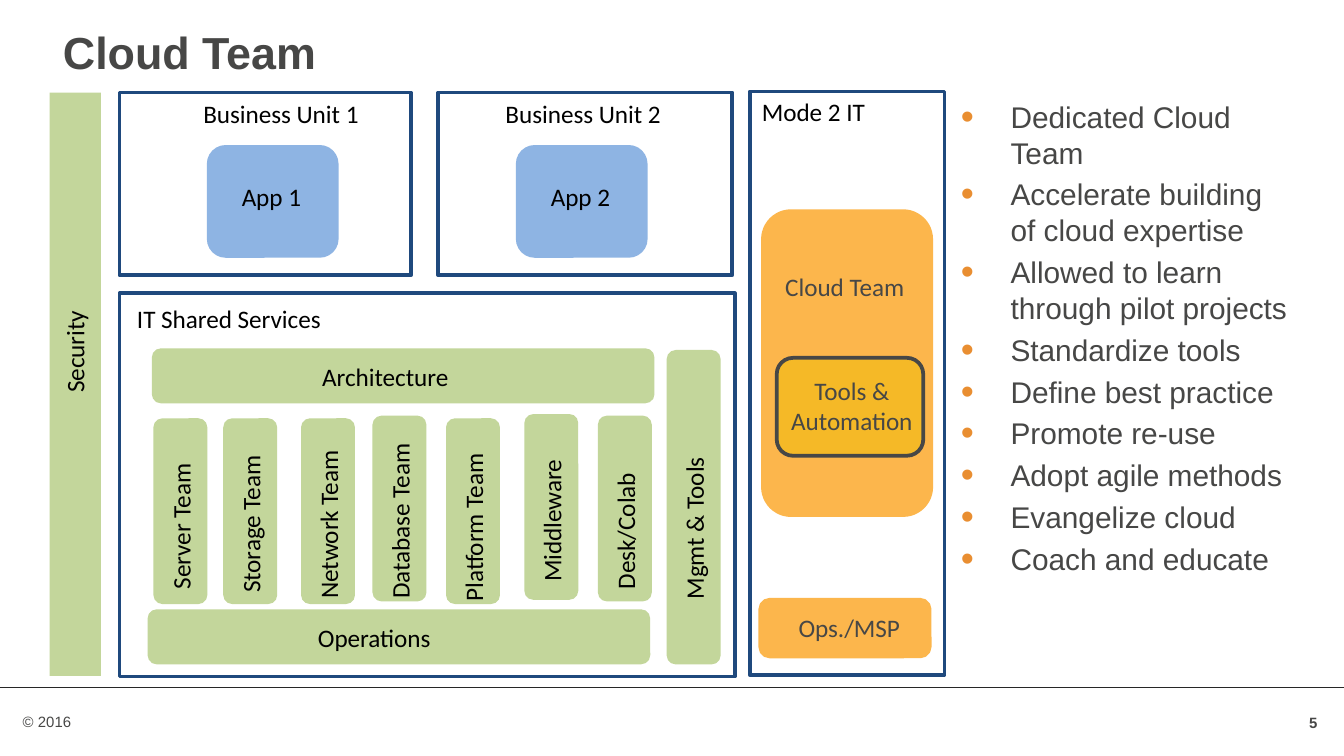
from lxml import etree
from pptx import Presentation
from pptx.dml.color import RGBColor
from pptx.enum.shapes import MSO_CONNECTOR, MSO_SHAPE
from pptx.enum.text import MSO_ANCHOR, PP_ALIGN
from pptx.oxml.ns import qn
from pptx.util import Cm, Pt

RECT, ROUND = MSO_SHAPE.RECTANGLE, MSO_SHAPE.ROUNDED_RECTANGLE
LEFT, CENTER, RIGHT = PP_ALIGN.LEFT, PP_ALIGN.CENTER, PP_ALIGN.RIGHT
TOP, MIDDLE = MSO_ANCHOR.TOP, MSO_ANCHOR.MIDDLE

BLACK = RGBColor(0x00, 0x00, 0x00)
GRAY = RGBColor(0x47, 0x47, 0x46)
RULE = RGBColor(0x27, 0x27, 0x27)
NAVY = RGBColor(0x1F, 0x49, 0x7D)
GREEN = RGBColor(0xC3, 0xD6, 0x9B)
BLUE = RGBColor(0x8E, 0xB4, 0xE3)
ORANGE = RGBColor(0xFC, 0xB6, 0x4C)
GOLD = RGBColor(0xEF, 0xBD, 0x03)
BULLET = "E98E31"

LABEL_H = 0.57
BAR_W = 1.02

# Name, bar left, bar top, label top, label length
TEAMS = [
    ("Server Team", 0.64, 2.36, 2.64, 2.95),
    ("Storage Team", 1.96, 2.36, 2.46, 3.2),
    ("Network Team", 3.43, 2.36, 2.16, 3.61),
    ("Database Team", 4.78, 2.31, 2.09, 3.68),
    ("Platform Team", 6.17, 2.36, 2.31, 3.51),
    ("Middleware", 7.65, 2.28, 2.78, 2.67),
    ("Desk/Colab", 9.04, 2.31, 2.64, 2.95),
]
GOALS = [
    "Dedicated Cloud Team",
    "Accelerate building of cloud expertise",
    "Allowed to learn through pilot projects",
    "Standardize tools",
    "Define best practice",
    "Promote re-use",
    "Adopt agile methods",
    "Evangelize cloud",
    "Coach and educate",
]


def inside(box, dx, dy, w, h):
    """Return a box placed by its offset from the corner of another."""
    return box[0] + dx, box[1] + dy, w, h


def upright(box):
    """Return the box which covers the given one after a quarter turn."""
    x, y, w, h = box
    return x + (w - h) / 2, y + (h - w) / 2, h, w


def lengths(box):
    return [Cm(v) for v in box]


def add_bullet(p):
    pPr = p._p.get_or_add_pPr()
    pPr.set("marL", str(Cm(0.97)))
    pPr.set("indent", str(-Cm(0.94)))
    color = etree.SubElement(pPr, qn("a:buClr"))
    etree.SubElement(color, qn("a:srgbClr"), val=BULLET)
    etree.SubElement(pPr, qn("a:buSzPct"), val="125000")
    etree.SubElement(pPr, qn("a:buFont"), typeface="Arial")
    etree.SubElement(pPr, qn("a:buChar"), char="•")


def write(sp, *lines, font="Calibri", size=13.5, color=BLACK, bold=False,
          align=LEFT, anchor=TOP, inset=(0, 0), bullets=False, gap=0):
    tf = sp.text_frame
    tf.word_wrap = True
    tf.vertical_anchor = anchor
    tf.margin_left = tf.margin_right = Cm(inset[0])
    tf.margin_top = tf.margin_bottom = Cm(inset[1])
    for i, line in enumerate(lines):
        p = tf.add_paragraph() if i else tf.paragraphs[0]
        p.alignment = align
        p.space_before = Pt(gap if i else 0)
        if bullets:
            add_bullet(p)
        r = p.add_run()
        r.text = line
        r.font.name, r.font.size = font, Pt(size)
        r.font.color.rgb, r.font.bold = color, bold


def add_text(s, box, *lines, vertical=False, **fmt):
    sp = s.shapes.add_textbox(*lengths(upright(box) if vertical else box))
    sp.rotation = 270 if vertical else 0
    write(sp, *lines, **fmt)


def add_block(s, box, kind=ROUND, fill=None, line=None, vertical=False):
    sp = s.shapes.add_shape(kind, *lengths(upright(box) if vertical else box))
    sp.rotation = 270 if vertical else 0
    sp.shadow.inherit = False
    if fill is None:
        sp.fill.background()
    else:
        sp.fill.solid()
        sp.fill.fore_color.rgb = fill
    if line is None:
        sp.line.fill.background()
    else:
        sp.line.color.rgb = line
        sp.line.width = Pt(2)
    return sp


def add_title(s, box, text):
    sp = s.shapes.title
    sp.left, sp.top, sp.width, sp.height = lengths(box)
    write(sp, text, font="Arial", size=24, color=GRAY, bold=True,
          inset=(0.25, 0.13))


def add_security(s, box):
    add_block(s, box, RECT, GREEN)
    add_text(s, inside(box, 0.18, 3.33, LABEL_H, 2.34), "Security",
             vertical=True)


def add_business_unit(s, box, number, title_dx, app_dx):
    add_block(s, box, RECT, line=NAVY)
    add_text(s, inside(box, title_dx, 0.11, 3.86, LABEL_H),
             f"Business Unit {number}", align=CENTER)
    app = inside(box, app_dx, 0.99, 2.49, 2.13)
    add_block(s, app, fill=BLUE)
    add_text(s, inside(app, 0.66, 0.69, 1.35, LABEL_H), f"App {number}")


def add_bar(s, box, name, label_top, label_length):
    """Add an upright green bar; the label top counts from the bar's top."""
    add_block(s, box, fill=GREEN, vertical=True)
    label = inside(box, (BAR_W - LABEL_H) / 2, label_top, LABEL_H, label_length)
    add_text(s, label, name, vertical=True)


def add_shared_services(s, box):
    add_block(s, box, RECT, line=NAVY)
    add_text(s, inside(box, 0.33, 0.18, 5.21, LABEL_H), "IT Shared Services")
    for name, dx, dy in (("Architecture", 0.61, 1.04),
                         ("Operations", 0.53, 5.97)):
        row = inside(box, dx, dy, 9.5, 1.04)
        add_block(s, row, fill=GREEN)
        add_text(s, inside(row, 3.22, 0.24, 2.87, LABEL_H), name)
    for name, dx, dy, label_dy, length in TEAMS:
        add_bar(s, inside(box, dx, dy, BAR_W, 3.51), name, label_dy - dy, length)
    add_bar(s, inside(box, 10.34, 1.07, BAR_W, 5.94), "Mgmt & Tools", 1.28, 3.43)


def add_mode_2(s, box):
    fmt = {"color": GRAY, "align": CENTER}
    add_block(s, box, RECT, line=NAVY)
    add_text(s, inside(box, 0.23, 0.08, 3.23, LABEL_H), "Mode 2 IT")
    add_block(s, inside(box, 0.25, 2.26, 3.18, 5.74), fill=ORANGE, line=ORANGE)
    add_text(s, inside(box, 0.36, 3.4, 2.87, LABEL_H), "Cloud Team", **fmt)
    add_block(s, inside(box, 0.2, 9.6, 3.2, 1.07), fill=ORANGE, line=ORANGE)
    add_text(s, inside(box, 0.79, 9.83, 2.18, LABEL_H), "Ops./MSP", **fmt)
    tools = add_block(s, inside(box, 0.51, 5.03, 2.77, 1.85), fill=GOLD, line=GRAY)
    color = tools._element.spPr.find(qn("a:solidFill")).find(qn("a:srgbClr"))
    etree.SubElement(color, qn("a:alpha"), val="50000")
    add_text(s, inside(box, 0.56, 5.36, 2.74, 2 * LABEL_H),
             "Tools & Automation", **fmt)


def add_goals(s, box):
    add_text(s, box, *GOALS, font="Arial", size=16, color=GRAY,
             inset=(0.25, 0.13), bullets=True, gap=3.2)


def add_footer(s, box):
    x, y, w, _ = box
    rule = s.shapes.add_connector(MSO_CONNECTOR.STRAIGHT,
                                  Cm(x), Cm(y), Cm(x + w), Cm(y))
    rule.line.color.rgb = RULE
    rule.line.width = Pt(0.25)
    etree.SubElement(rule._element.spPr, qn("a:effectLst"))
    fmt = {"font": "Arial", "size": 8, "color": GRAY, "inset": (0.25, 0.13)}
    add_text(s, inside(box, 0.18, 0.36, 14, 0.6), "© 2016", **fmt)
    add_text(s, inside(box, w - 1.14, 0.28, 0.89, 0.76), "5", bold=True,
             align=RIGHT, anchor=MIDDLE, **fmt)


def main():
    prs = Presentation()
    prs.slide_width, prs.slide_height = Cm(25.4), Cm(14.28)
    s = prs.slides.add_slide(prs.slide_layouts[5])
    add_footer(s, (0, 12.98, 25.4, 1.3))
    add_title(s, (0.94, 0.33, 22.78, 1.88), "Cloud Team")
    add_goals(s, (17.88, 1.73, 6.78, 10.24))
    add_security(s, (0.94, 1.75, 0.97, 11.02))
    add_business_unit(s, (2.26, 1.75, 5.51, 3.45), 1, 1.12, 1.65)
    add_business_unit(s, (8.28, 1.75, 5.56, 3.45), 2, 0.81, 1.47)
    add_shared_services(s, (2.26, 5.54, 11.63, 7.24))
    add_mode_2(s, (14.17, 1.73, 3.68, 11.02))
    prs.save("out.pptx")


if __name__ == "__main__":
    main()
